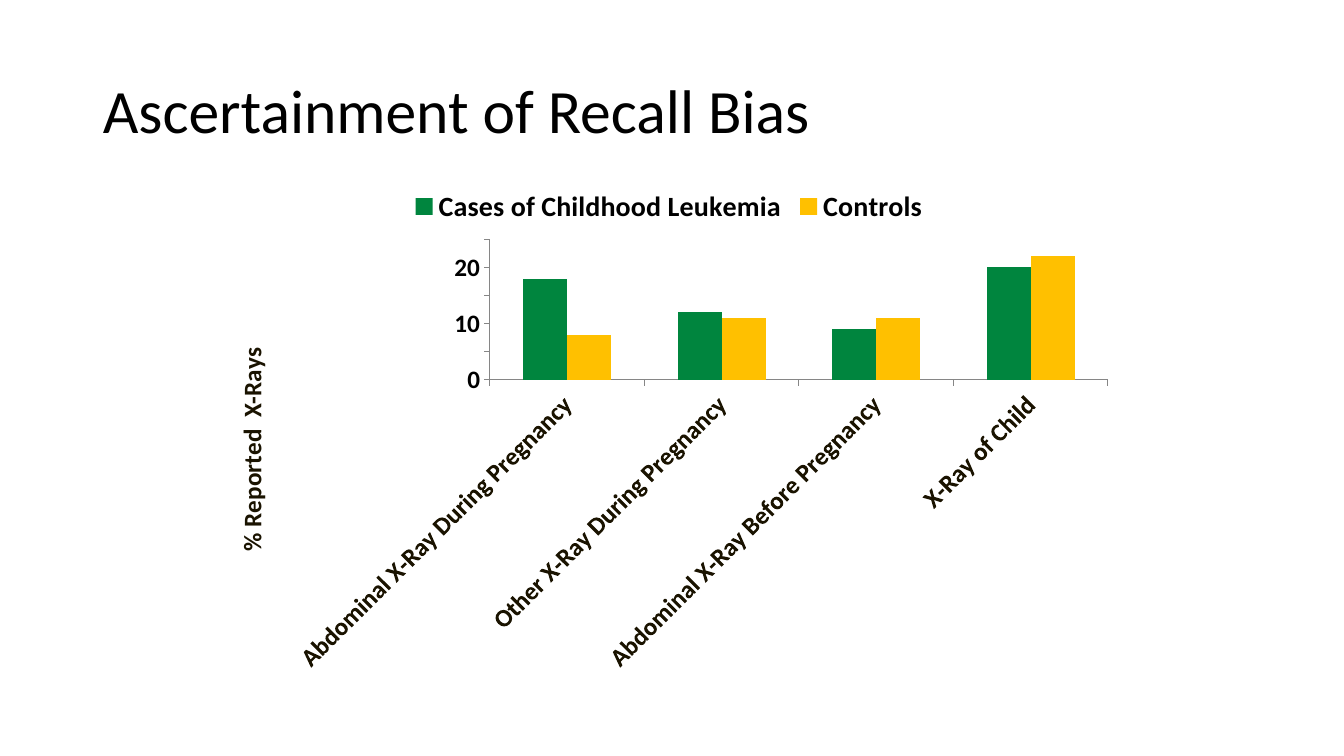
from dataclasses import dataclass

from pptx import Presentation
from pptx.chart.data import CategoryChartData
from pptx.dml.color import RGBColor
from pptx.enum.chart import XL_CHART_TYPE, XL_LEGEND_POSITION, XL_TICK_MARK
from pptx.enum.text import MSO_ANCHOR, PP_ALIGN
from pptx.oxml.ns import qn
from pptx.util import Inches, Pt

COLUMNS = XL_CHART_TYPE.COLUMN_CLUSTERED
LEGEND_TOP = XL_LEGEND_POSITION.TOP
TICK_OUTSIDE = XL_TICK_MARK.OUTSIDE
TICK_NONE = XL_TICK_MARK.NONE
MIDDLE = MSO_ANCHOR.MIDDLE
LEFT = PP_ALIGN.LEFT

FONT = "Calibri"
BLACK = "000000"
DARK_BROWN = "1A1300"
AXIS_GRAY = "868686"
TITLE_ONLY_LAYOUT = 5
DEGREE = 60000


@dataclass
class XRaySeries:
    name: str
    percentages: tuple[int, ...]
    color: str


CATEGORIES = (
    "Abdominal X-Ray During Pregnancy",
    "Other X-Ray During Pregnancy",
    "Abdominal X-Ray Before Pregnancy",
    "X-Ray of Child",
)
SERIES = (
    XRaySeries("Cases of Childhood Leukemia", (18, 12, 9, 20), "00853E"),
    XRaySeries("Controls", (8, 11, 11, 22), "FFC000"),
)


def rgb(color: str) -> RGBColor:
    return RGBColor.from_string(color)


def style_font(font, size: int, color: str, bold: bool = True) -> None:
    font.name = FONT
    font.size = Pt(size)
    font.bold = bold
    font.color.rgb = rgb(color)


def style_axis(axis, color: str) -> None:
    axis.has_major_gridlines = False
    axis.major_tick_mark = TICK_OUTSIDE
    axis.minor_tick_mark = TICK_NONE
    axis.format.line.color.rgb = rgb(AXIS_GRAY)
    axis.format.line.width = Pt(0.75)
    style_font(axis.tick_labels.font, 18, color)


def rotate_text(element, degrees: int) -> None:
    body = next(element.iter(qn("a:bodyPr")))
    body.set("rot", str(degrees * DEGREE))
    body.set("vert", "horz")


def add_title(slide) -> None:
    title = slide.shapes.title
    title.left, title.top = Inches(0.92), Inches(0.4)
    title.width, title.height = Inches(11.5), Inches(1.45)
    title.text_frame.text = "Ascertainment of Recall Bias"
    title.text_frame.vertical_anchor = MIDDLE
    paragraph = title.text_frame.paragraphs[0]
    paragraph.alignment = LEFT
    paragraph.line_spacing = 0.9
    style_font(paragraph.font, 44, BLACK, bold=False)


def add_recall_chart(slide) -> None:
    data = CategoryChartData()
    data.categories = CATEGORIES
    for series in SERIES:
        data.add_series(series.name, series.percentages)
    chart = slide.shapes.add_chart(
        COLUMNS, Inches(2.1), Inches(1.75), Inches(9.07), Inches(4.92), data
    ).chart
    chart.has_title = False
    style_font(chart.font, 18, BLACK, bold=False)

    # Columns
    plot = chart.plots[0]
    plot.gap_width = 150
    plot.overlap = 0
    plot.vary_by_categories = False
    for drawn, series in zip(plot.series, SERIES):
        drawn.format.fill.solid()
        drawn.format.fill.fore_color.rgb = rgb(series.color)

    # Legend
    chart.has_legend = True
    chart.legend.position = LEGEND_TOP
    chart.legend.include_in_layout = False
    style_font(chart.legend.font, 20, BLACK)

    # Axes
    category_axis, value_axis = chart.category_axis, chart.value_axis
    style_axis(category_axis, DARK_BROWN)
    rotate_text(category_axis._element, -45)
    style_axis(value_axis, BLACK)
    value_axis.minimum_scale = 0
    value_axis.maximum_scale = 25
    value_axis.major_unit = 5

    # Value axis title
    axis_title = value_axis.axis_title
    axis_title.text_frame.text = "% Reported  X-Rays"
    style_font(axis_title.text_frame.paragraphs[0].font, 18, DARK_BROWN)
    rotate_text(axis_title._element, -90)


def main() -> None:
    presentation = Presentation()
    presentation.slide_width = Inches(13.33)
    presentation.slide_height = Inches(7.5)
    layout = presentation.slide_layouts[TITLE_ONLY_LAYOUT]
    slide = presentation.slides.add_slide(layout)
    add_title(slide)
    add_recall_chart(slide)
    presentation.save("out.pptx")


if __name__ == "__main__":
    main()
